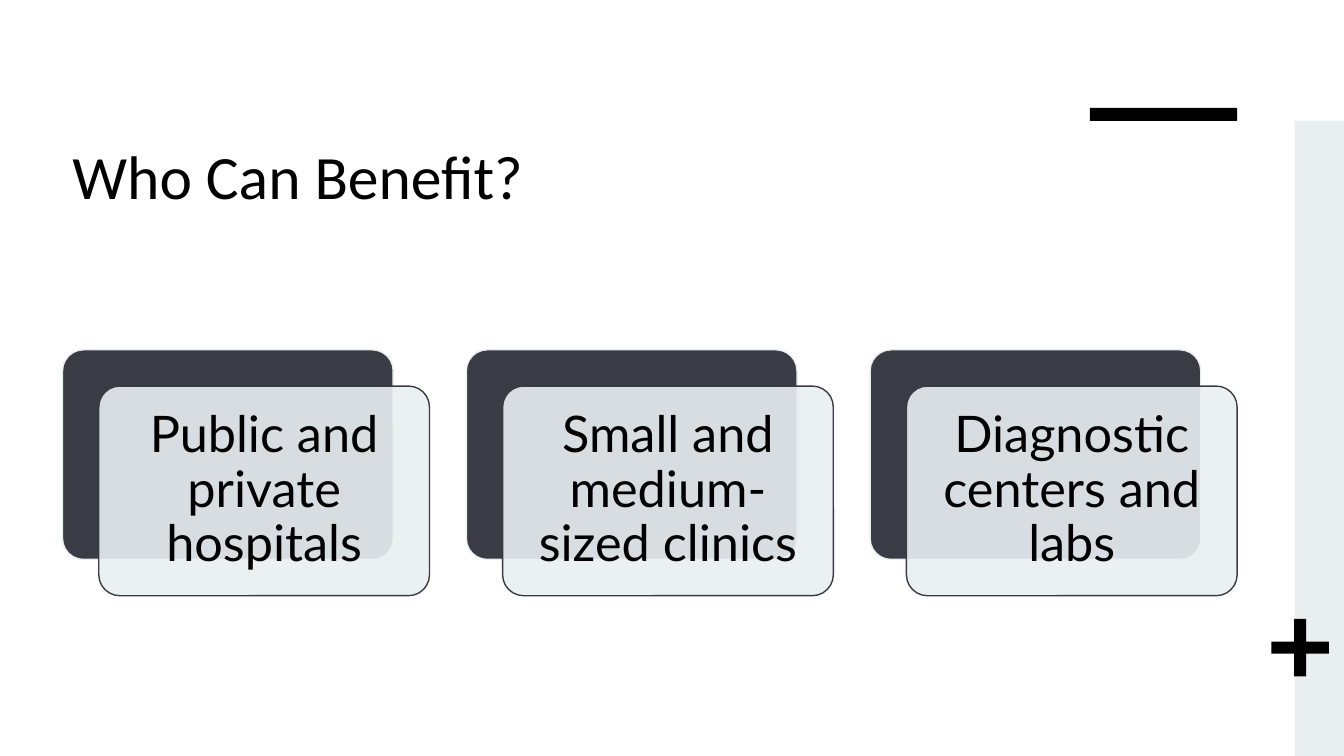
"""Builds the "Who Can Benefit?" slide with three layered cards."""
from lxml import etree
from pptx import Presentation
from pptx.dml.color import RGBColor
from pptx.enum import shapes, text
from pptx.oxml import ns
from pptx.util import Inches, Pt

BLACK = RGBColor(0x00, 0x00, 0x00)
MIST = RGBColor(0xE9, 0xEF, 0xF1)
SLATE = RGBColor(0x3A, 0x3C, 0x45)

AUDIENCES = (
    "Public and private hospitals",
    "Small and medium-sized clinics",
    "Diagnostic centers and labs",
)
CARD_LEFT, CARD_TOP = 0.62, 3.47
CARD_WIDTH, CARD_HEIGHT = 3.28, 2.08
CARD_PITCH = 4.005
CARD_OFFSET = 0.36
CARD_INSET = 0.21


def add_block(slide, kind, left, top, width, height, fill, line=None):
    """Add a flat filled preset shape, outlined only when a line colour is given."""
    shape = slide.shapes.add_shape(
        kind, Inches(left), Inches(top), Inches(width), Inches(height)
    )
    shape.shadow.inherit = False
    shape.fill.solid()
    shape.fill.fore_color.rgb = fill
    if line is None:
        shape.line.fill.background()
    else:
        shape.line.color.rgb = line
        shape.line.width = Pt(1)
    return shape


def set_opacity(shape, percent):
    """Set the opacity of a solid shape fill."""
    color = shape.fill._xPr.find(ns.qn("a:solidFill"))[0]
    etree.SubElement(color, ns.qn("a:alpha")).set("val", str(percent * 1000))


def write_text(shape, wording, font_name, size):
    """Write one black paragraph into a shape and return it."""
    shape.text_frame.word_wrap = True
    paragraph = shape.text_frame.paragraphs[0]
    paragraph.text = wording
    paragraph.font.name = font_name
    paragraph.font.size = Pt(size)
    paragraph.font.color.rgb = BLACK
    return paragraph


def add_title(slide, wording):
    """Add the slide title."""
    title = slide.shapes.add_textbox(
        Inches(0.62), Inches(1.32), Inches(9.04), Inches(1.58)
    )
    write_text(title, wording, "Calibri", 44)


def add_card(slide, left, wording):
    """Add a dark card with a translucent labelled card in front of it."""
    rounded = shapes.MSO_SHAPE.ROUNDED_RECTANGLE
    back = add_block(
        slide, rounded, left, CARD_TOP, CARD_WIDTH, CARD_HEIGHT, SLATE, MIST
    )
    front = add_block(
        slide, rounded, left + CARD_OFFSET, CARD_TOP + CARD_OFFSET,
        CARD_WIDTH, CARD_HEIGHT, MIST, SLATE,
    )
    for card in (back, front):
        card.adjustments[0] = 0.1
    set_opacity(front, 90)

    frame = front.text_frame
    frame.margin_left = frame.margin_right = Inches(CARD_INSET)
    frame.margin_top = frame.margin_bottom = Inches(CARD_INSET)
    frame.vertical_anchor = text.MSO_ANCHOR.MIDDLE
    paragraph = write_text(front, wording, "Lato", 36)
    paragraph.alignment = text.PP_ALIGN.CENTER
    paragraph.line_spacing = 0.9


def add_decoration(slide):
    """Add the side band, the accent bar and the plus sign."""
    rectangle = shapes.MSO_SHAPE.RECTANGLE
    add_block(slide, rectangle, 12.84, 1.2, 0.49, 6.3, MIST)
    add_block(slide, rectangle, 10.81, 1.07, 1.46, 0.13, BLACK)
    plus = add_block(slide, shapes.MSO_SHAPE.CROSS, 12.61, 6.14, 0.57, 0.57, BLACK)
    plus.adjustments[0] = 0.395


def main():
    """Build and save the presentation."""
    presentation = Presentation()
    presentation.slide_width = Inches(13.33)
    presentation.slide_height = Inches(7.5)
    slide = presentation.slides.add_slide(presentation.slide_layouts[6])
    add_title(slide, "Who Can Benefit?")
    add_decoration(slide)
    for index, audience in enumerate(AUDIENCES):
        add_card(slide, CARD_LEFT + index * CARD_PITCH, audience)
    presentation.save("out.pptx")


if __name__ == "__main__":
    main()
